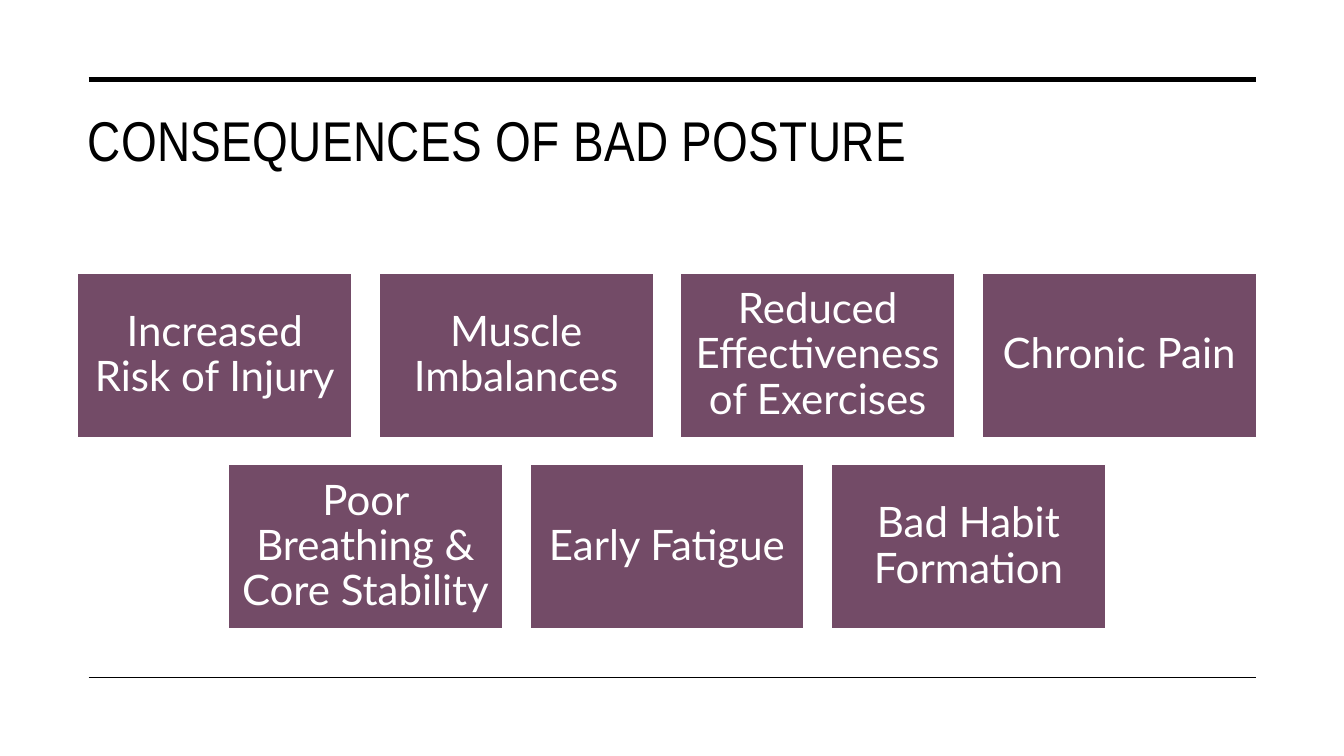
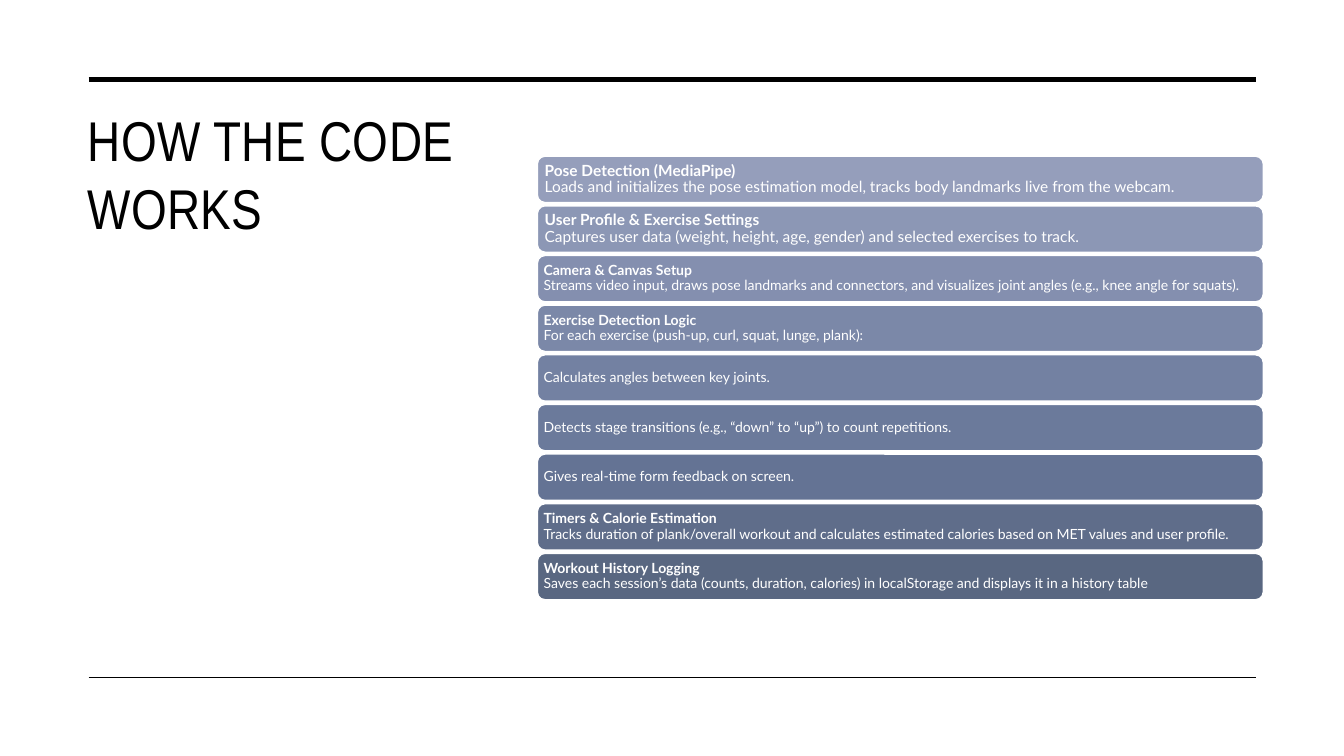
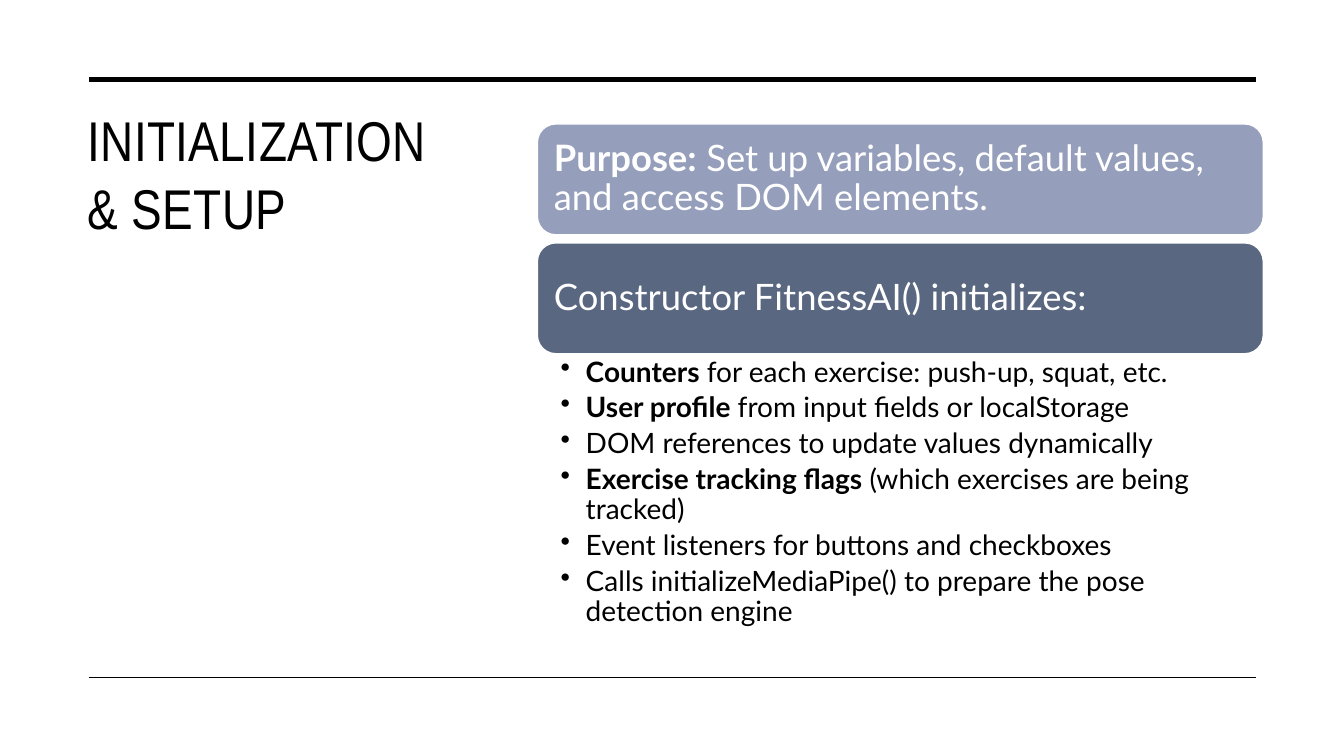
import pptx
import pptx.dml.color
import pptx.enum.shapes
import pptx.enum.text
import pptx.oxml.ns
import pptx.util
from dataclasses import dataclass
from lxml import etree

Inches = pptx.util.Inches
Pt = pptx.util.Pt
ALIGN = pptx.enum.text.PP_ALIGN
ANCHOR = pptx.enum.text.MSO_ANCHOR
SHAPE = pptx.enum.shapes.MSO_SHAPE
qn = pptx.oxml.ns.qn


@dataclass(frozen=True)
class Theme:
    ink: str = "000000"
    paper: str = "FFFFFF"
    card: str = "734B67"
    ramp: tuple = ("959EBB", "8C97B5", "848FAF", "7B88A8", "7381A2",
                   "6B7A9B", "647394", "5F6D8A", "596781")
    title_font: str = "Arial Narrow"
    body_font: str = "Lato"
    title_size: float = 40
    card_size: float = 30
    heading_size: float = 26
    bullet_size: float = 20
    step_size: float = 11
    small_step_size: float = 10


@dataclass(frozen=True)
class Box:
    left: float
    top: float
    width: float
    height: float

    def inches(self):
        return [Inches(v) for v in (self.left, self.top, self.width, self.height)]


THEME = Theme()
WIDE_TITLE = Box(0.77, 1, 11.69, 1.43)
SIDE_TITLE = Box(0.77, 1, 4, 4.82)
RULES = ((0.79, 3.5), (6.72, 1))  # height on the slide, line width

CONSEQUENCES = (
    ("Increased Risk of Injury", "Muscle Imbalances",
     "Reduced Effectiveness of Exercises", "Chronic Pain"),
    ("Poor Breathing & Core Stability", "Early Fatigue", "Bad Habit Formation"),
)

# Each step: bold heading (may be empty), description
CODE_STEPS = (
    ("Pose Detection (MediaPipe)",
     "Loads and initializes the pose estimation model, tracks body landmarks live from the webcam."),
    ("User Profile & Exercise Settings",
     "Captures user data (weight, height, age, gender) and selected exercises to track."),
    ("Camera & Canvas Setup",
     "Streams video input, draws pose landmarks and connectors, and visualizes joint angles "
     "(e.g., knee angle for squats)."),
    ("Exercise Detection Logic", "For each exercise (push-up, curl, squat, lunge, plank):"),
    ("", "Calculates angles between key joints."),
    ("", "Detects stage transitions (e.g., “down” to “up”) to count repetitions."),
    ("", "Gives real-time form feedback on screen."),
    ("Timers & Calorie Estimation",
     "Tracks duration of plank/overall workout and calculates estimated calories based on "
     "MET values and user profile."),
    ("Workout History Logging",
     "Saves each session’s data (counts, duration, calories) in localStorage and displays it "
     "in a history table"),
)

SETUP_HEADINGS = (
    ("Purpose:", " Set up variables, default values, and access DOM elements."),
    ("", "Constructor FitnessAI() initializes:"),
)

SETUP_ITEMS = (
    ("Counters", " for each exercise: push-up, squat, etc."),
    ("User profile", " from input fields or localStorage"),
    ("", "DOM references to update values dynamically"),
    ("Exercise tracking flags", " (which exercises are being tracked)"),
    ("", "Event listeners for buttons and checkboxes"),
    ("", "Calls initializeMediaPipe() to prepare the pose detection engine"),
)


def rgb(value):
    return pptx.dml.color.RGBColor.from_string(value)


# Text helpers
def add_run(paragraph, words, size, color, font=THEME.body_font, bold=False):
    run = paragraph.add_run()
    run.text = words
    run.font.name = font
    run.font.size = Pt(size)
    run.font.bold = bold
    run.font.color.rgb = rgb(color)
    return run


def add_lead_and_rest(paragraph, lead, rest, size, color, split=False):
    """Bold lead, then plain text, on a new line if split is set."""
    paragraph.line_spacing = 0.9
    if lead:
        add_run(paragraph, lead, size, color, bold=True)
        if split:
            paragraph.add_line_break()
    add_run(paragraph, rest, size, color)


def set_frame(frame, anchor, left, top, right, bottom):
    frame.word_wrap = True
    frame.auto_size = pptx.enum.text.MSO_AUTO_SIZE.NONE
    frame.vertical_anchor = anchor
    frame.margin_left, frame.margin_top = Inches(left), Inches(top)
    frame.margin_right, frame.margin_bottom = Inches(right), Inches(bottom)


# Shared parts
def add_panel(slide, preset, box, fill, inset, align):
    """Filled panel with a thin light outline; returns its first paragraph."""
    panel = slide.shapes.add_shape(preset, *box.inches())
    panel.shadow.inherit = False
    panel.fill.solid()
    panel.fill.fore_color.rgb = rgb(fill)
    panel.line.color.rgb = rgb(THEME.paper)
    panel.line.width = Pt(1)
    set_frame(panel.text_frame, ANCHOR.MIDDLE, inset, inset, inset, inset)
    paragraph = panel.text_frame.paragraphs[0]
    paragraph.alignment = align
    return paragraph


def add_titled_slide(deck, words, box):
    slide = deck.slides.add_slide(deck.slide_layouts.get_by_name("Title Only"))
    # Title
    title = slide.shapes.title
    title.left, title.top, title.width, title.height = box.inches()
    set_frame(title.text_frame, ANCHOR.TOP, 0.1, 0.05, 0.1, 0.05)
    paragraph = title.text_frame.paragraphs[0]
    paragraph.alignment = ALIGN.LEFT
    run = add_run(paragraph, words, THEME.title_size, THEME.ink, THEME.title_font)
    run.font._element.set("spc", "30")
    # Rules above and below the content
    for height, weight in RULES:
        rule = slide.shapes.add_connector(
            pptx.enum.shapes.MSO_CONNECTOR.STRAIGHT,
            Inches(0.88), Inches(height), Inches(12.46), Inches(height))
        rule.line.color.rgb = rgb(THEME.ink)
        rule.line.width = Pt(weight)
        etree.SubElement(rule._element.spPr, qn("a:effectLst"))
    return slide


# Regions
def add_card_rows(slide, box, rows, gap=0.27):
    """Rows of equal cards, each row centred in the box."""
    columns = max(len(row) for row in rows)
    width = (box.width - gap * (columns - 1)) / columns
    height = (box.height - gap * (len(rows) - 1)) / len(rows)
    for r, row in enumerate(rows):
        indent = (columns - len(row)) * (width + gap) / 2
        for c, words in enumerate(row):
            card = Box(box.left + indent + c * (width + gap),
                       box.top + r * (height + gap), width, height)
            paragraph = add_panel(slide, SHAPE.RECTANGLE, card, THEME.card, 0.12, ALIGN.CENTER)
            paragraph.line_spacing = 0.9
            add_run(paragraph, words, THEME.card_size, THEME.paper)


def add_bar_stack(slide, box, bars, fills, sizes, bar_height, split=False):
    """Rounded bars spread evenly from the top to the bottom of the box."""
    pitch = (box.height - bar_height) / (len(bars) - 1)
    for i, ((lead, rest), fill, size) in enumerate(zip(bars, fills, sizes)):
        bar = Box(box.left, box.top + i * pitch, box.width, bar_height)
        paragraph = add_panel(slide, SHAPE.ROUNDED_RECTANGLE, bar, fill,
                              round(size * 0.0042, 2), ALIGN.LEFT)
        add_lead_and_rest(paragraph, lead, rest, size, THEME.paper, split)


def add_bullets(slide, box, items):
    frame = slide.shapes.add_textbox(*box.inches()).text_frame
    set_frame(frame, ANCHOR.TOP, 0.23, 0.04, 0.2, 0.04)
    for i, (lead, rest) in enumerate(items):
        paragraph = frame.add_paragraph() if i else frame.paragraphs[0]
        add_lead_and_rest(paragraph, lead, rest, THEME.bullet_size, THEME.ink)
        paragraph.space_after = Pt(THEME.bullet_size * 0.2)
        properties = paragraph._p.get_or_add_pPr()
        properties.set("marL", str(Inches(0.25)))
        properties.set("indent", str(Inches(-0.25)))
        etree.SubElement(properties, qn("a:buChar")).set("char", "•")


# Slides
def add_consequences(deck):
    slide = add_titled_slide(deck, "CONSEQUENCES OF BAD POSTURE", WIDE_TITLE)
    add_card_rows(slide, Box(0.77, 2.71, 11.69, 3.53), CONSEQUENCES)


def add_code_overview(deck):
    slide = add_titled_slide(deck, "HOW THE CODE WORKS", SIDE_TITLE)
    sizes = [THEME.step_size] * 2 + [THEME.small_step_size] * (len(CODE_STEPS) - 2)
    add_bar_stack(slide, Box(5.33, 1.55, 7.2, 4.4), CODE_STEPS, THEME.ramp, sizes,
                  0.46, split=True)


def add_setup(deck):
    slide = add_titled_slide(deck, "INITIALIZATION & SETUP", SIDE_TITLE)
    add_bar_stack(slide, Box(5.33, 1.23, 7.2, 2.28), SETUP_HEADINGS,
                  (THEME.ramp[0], THEME.ramp[-1]), [THEME.heading_size] * 2, 1.1)
    add_bullets(slide, Box(5.33, 3.51, 7.2, 2.77), SETUP_ITEMS)


def main():
    deck = pptx.Presentation()
    deck.slide_width, deck.slide_height = Inches(13.33), Inches(7.5)
    add_consequences(deck)
    add_code_overview(deck)
    add_setup(deck)
    deck.save("out.pptx")


if __name__ == "__main__":
    main()
